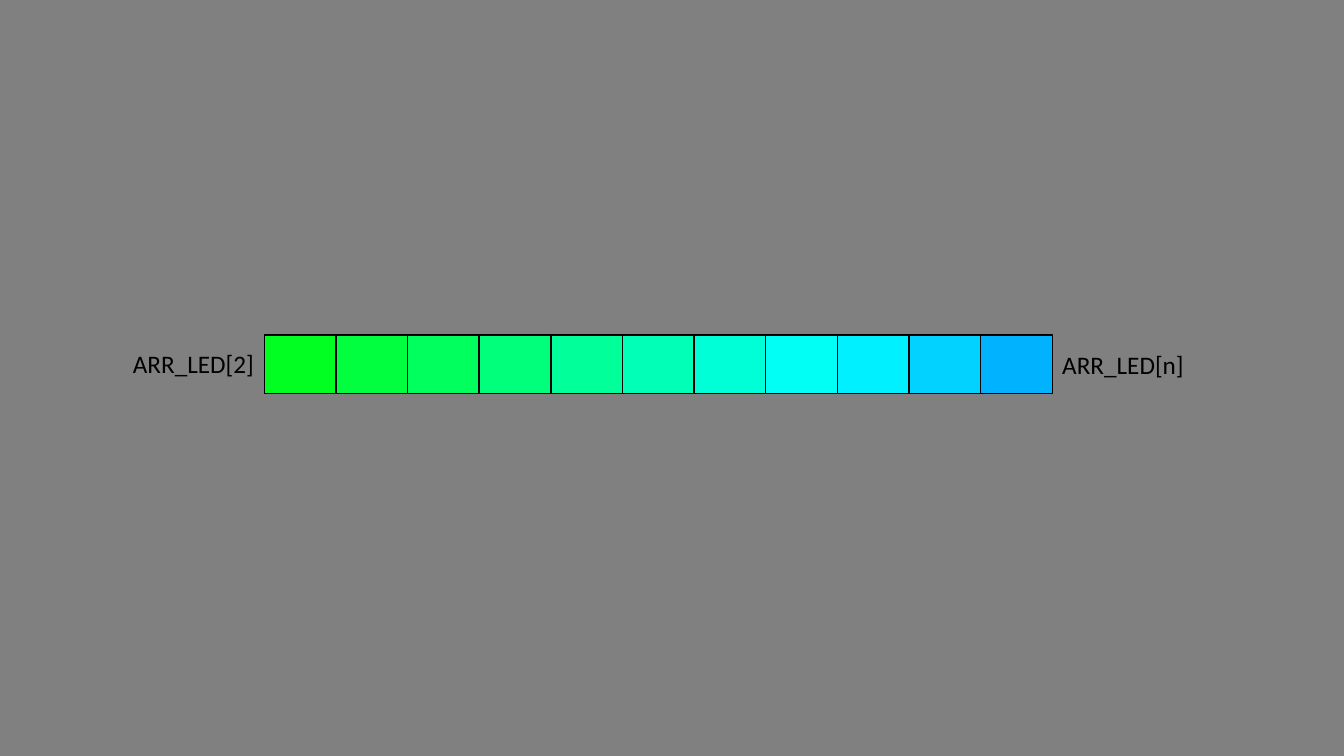
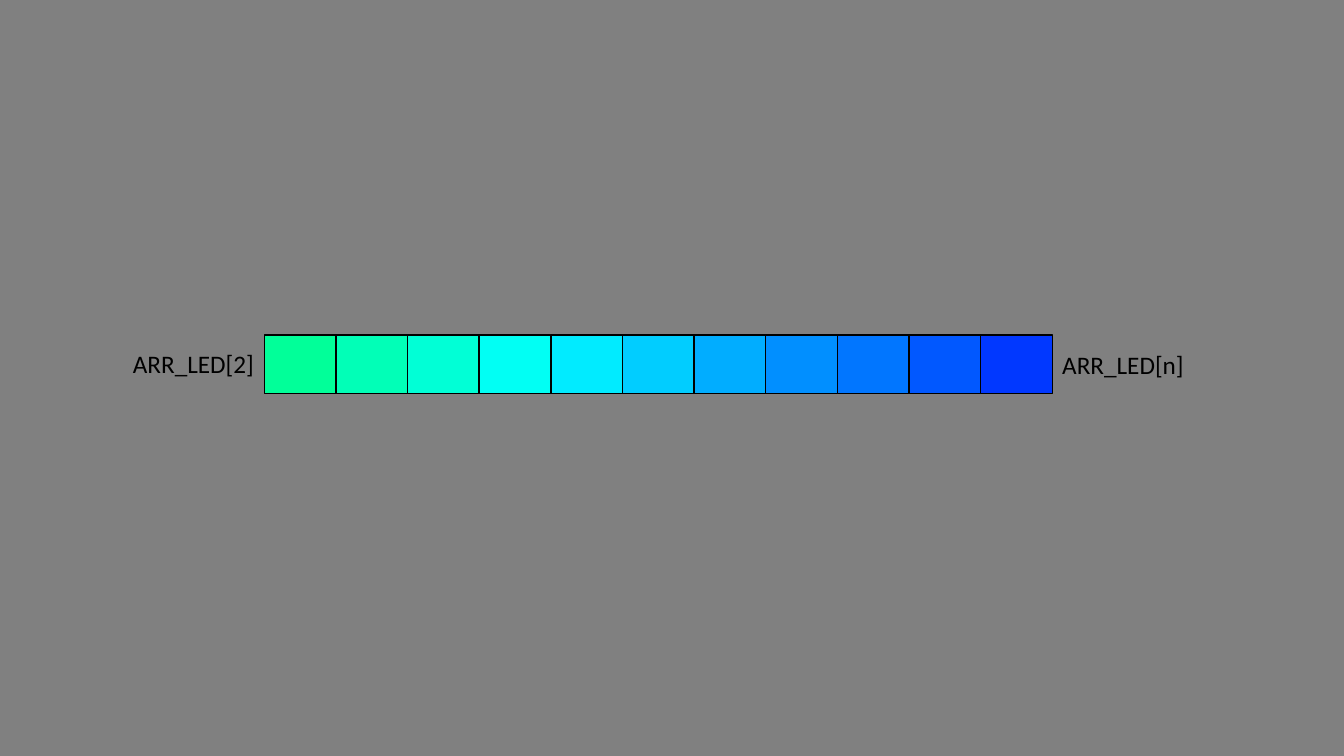
import dataclasses

import pptx
import pptx.dml.color
import pptx.enum.shapes
import pptx.enum.text
import pptx.util

Cm = pptx.util.Cm
Pt = pptx.util.Pt
RGB = pptx.dml.color.RGBColor.from_string

LED_STRIPS = [
    ["01FF21", "01FF3F", "01FF5E", "01FF7C", "01FF9A", "01FFB8",
     "01FFD7", "01FFF5", "01F0FF", "01D2FF", "01B2FF"],
    ["01FF99", "01FFB7", "01FFD6", "01FFF4", "01EBFF", "01CDFF",
     "01ADFF", "018FFF", "0176FF", "0158FF", "0138FF"],
]
LABELS = [  # text, left, top
    ("ARR_LED[2]", Cm(3.1), Cm(8.66)),
    ("ARR_LED[n]", Cm(26.52), Cm(8.69)),
]
LABEL_SIZE = Cm(3.61), Cm(1.03)
STRIP_LEFT, STRIP_TOP = Cm(6.66), Cm(8.44)
STRIP_WIDTH, STRIP_HEIGHT = Cm(19.86), Cm(1.47)


@dataclasses.dataclass(frozen=True)
class Theme:
    background: str = "808080"
    ink: str = "000000"
    font: str = "Calibri"
    label_size: int = 18
    outline: int = 1


THEME = Theme()
LABEL_FORMAT = {"name": THEME.font, "size": Pt(THEME.label_size)}
FRAME_FORMAT = {
    "word_wrap": False,
    "auto_size": pptx.enum.text.MSO_AUTO_SIZE.SHAPE_TO_FIT_TEXT,
}


def apply_format(target, values):
    for name, value in values.items():
        setattr(target, name, value)


def paint(fill, colour):
    fill.solid()
    fill.fore_color.rgb = RGB(colour)


def add_led(page, left, width, colour):
    led = page.shapes.add_shape(
        pptx.enum.shapes.MSO_SHAPE.RECTANGLE, left, STRIP_TOP, width, STRIP_HEIGHT)
    led.shadow.inherit = False
    paint(led.fill, colour)
    paint(led.line.fill, THEME.ink)
    led.line.width = Pt(THEME.outline)


def add_label(page, text, left, top):
    box = page.shapes.add_textbox(left, top, *LABEL_SIZE)
    apply_format(box.text_frame, FRAME_FORMAT)
    span = box.text_frame.paragraphs[0].add_run()
    span.text = text
    apply_format(span.font, LABEL_FORMAT)
    span.font.color.rgb = RGB(THEME.ink)


def add_strip_page(deck, colours):
    page = deck.slides.add_slide(deck.slide_layouts[6])
    led_width = STRIP_WIDTH // len(colours)
    for index, colour in enumerate(colours):
        add_led(page, STRIP_LEFT + index * led_width, led_width, colour)
    for label in LABELS:
        add_label(page, *label)


def main():
    deck = pptx.Presentation()
    deck.slide_width, deck.slide_height = Cm(33.87), Cm(19.05)
    paint(deck.slide_master.background.fill, THEME.background)
    for colours in LED_STRIPS:
        add_strip_page(deck, colours)
    deck.save("out.pptx")


if __name__ == "__main__":
    main()
